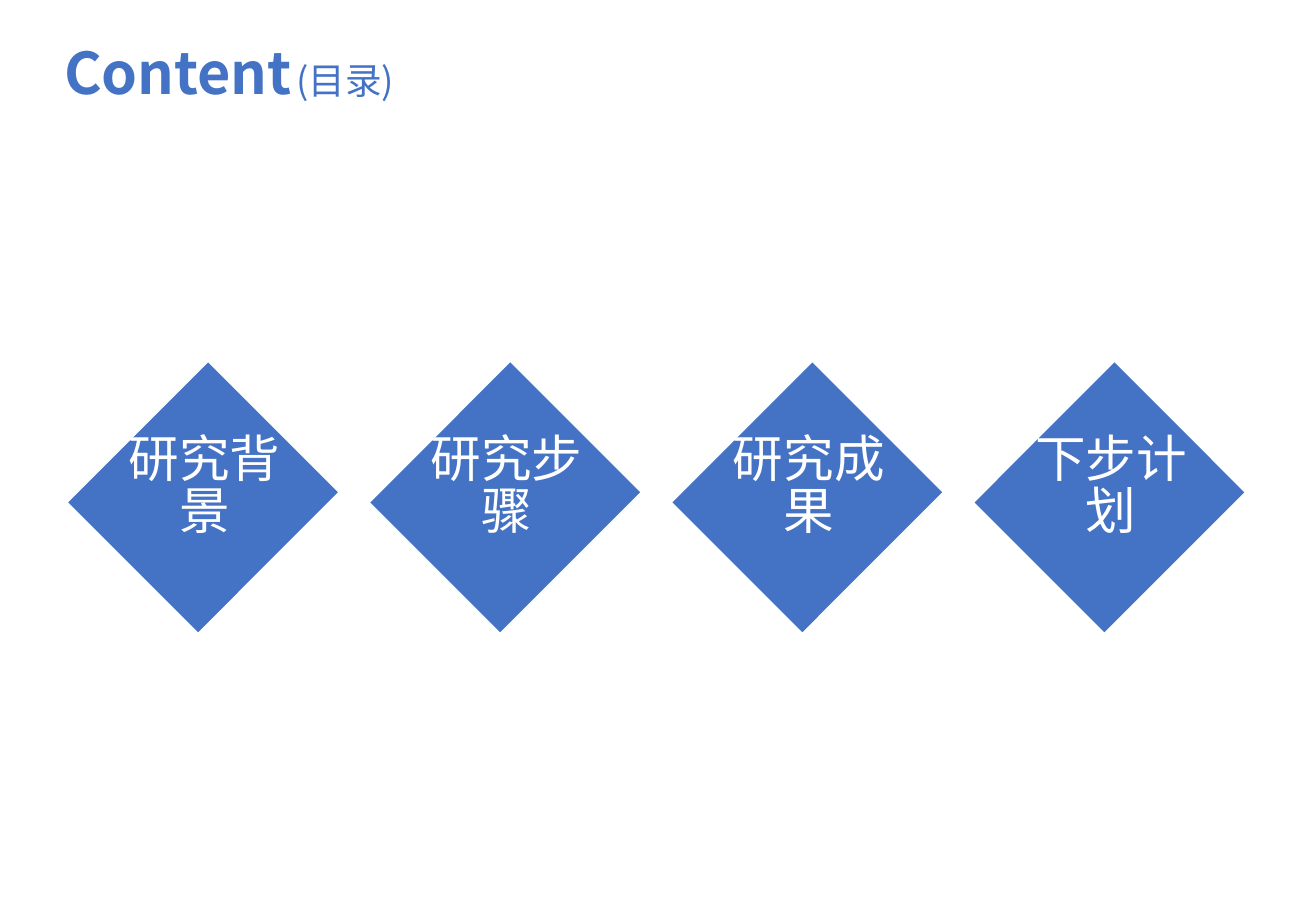
from lxml.etree import SubElement
from pptx import Presentation
from pptx.dml.color import RGBColor
from pptx.enum.shapes import MSO_SHAPE
from pptx.enum.text import MSO_ANCHOR, PP_ALIGN
from pptx.oxml.ns import qn
from pptx.util import Cm, Pt

COLORS = {"blue": "4472C4", "white": "FFFFFF"}
FONT = "Noto Sans CJK SC"
TOPICS = ["研究背景", "研究步骤", "研究成果", "下步计划"]
STEP = 6.32


def style(para, color, align, spacing):
    """Set the shared look of a paragraph, for Latin and Chinese text."""
    para.alignment = align
    para.line_spacing = spacing
    para.space_before = Pt(0)
    para.font.name = FONT
    para.font.color.rgb = RGBColor.from_string(COLORS[color])
    for props in para._p.iter(qn("a:defRPr")):
        SubElement(props, qn("a:ea"), typeface=FONT)


def pad(frame):
    frame.word_wrap = True
    frame.vertical_anchor = MSO_ANCHOR.TOP
    frame.margin_left = frame.margin_right = Cm(0.25)
    frame.margin_top = frame.margin_bottom = Cm(0.13)


def heading(slide, left, top, width, height):
    title = slide.shapes.title
    title.left, title.top = Cm(left), Cm(top)
    title.width, title.height = Cm(width), Cm(height)
    pad(title.text_frame)
    para = title.text_frame.paragraphs[0]
    style(para, "blue", PP_ALIGN.LEFT, 0.9)
    for text, size, bold in [("Content", 34.1, True), (" ", 10.8, True),
                             ("(目录)", 21.7, False)]:
        run = para.add_run()
        run.text = text
        run.font.size = Pt(size)
        run.font.bold = bold


def topic(slide, text, left, top, width, height):
    """Draw a tilted tile in the box, with an upright label over it."""
    tile = slide.shapes.add_shape(MSO_SHAPE.RECTANGLE, Cm(left), Cm(top),
                                  Cm(width), Cm(height))
    tile.rotation = 315
    tile.shadow.inherit = False
    tile.fill.solid()
    tile.fill.fore_color.rgb = RGBColor.from_string(COLORS["blue"])
    tile.line.fill.background()

    label = slide.shapes.add_textbox(Cm(left + 0.23), Cm(top + 0.51),
                                     Cm(width - 0.4), Cm(height - 1.04))
    pad(label.text_frame)
    para = label.text_frame.paragraphs[0]
    para.text = text
    style(para, "white", PP_ALIGN.CENTER, 0.85)
    para.font.size = Pt(30)


def main():
    deck = Presentation()
    deck.slide_width, deck.slide_height = Cm(27.53), Cm(19.05)
    slide = deck.slides.add_slide(deck.slide_layouts[5])
    heading(slide, 1.09, 0.81, 22.1, 1.8)
    for i, text in enumerate(TOPICS):
        topic(slide, text, 2.18 + i * STEP, 8.48, 4.14, 3.84)
    deck.save("out.pptx")


if __name__ == "__main__":
    main()
